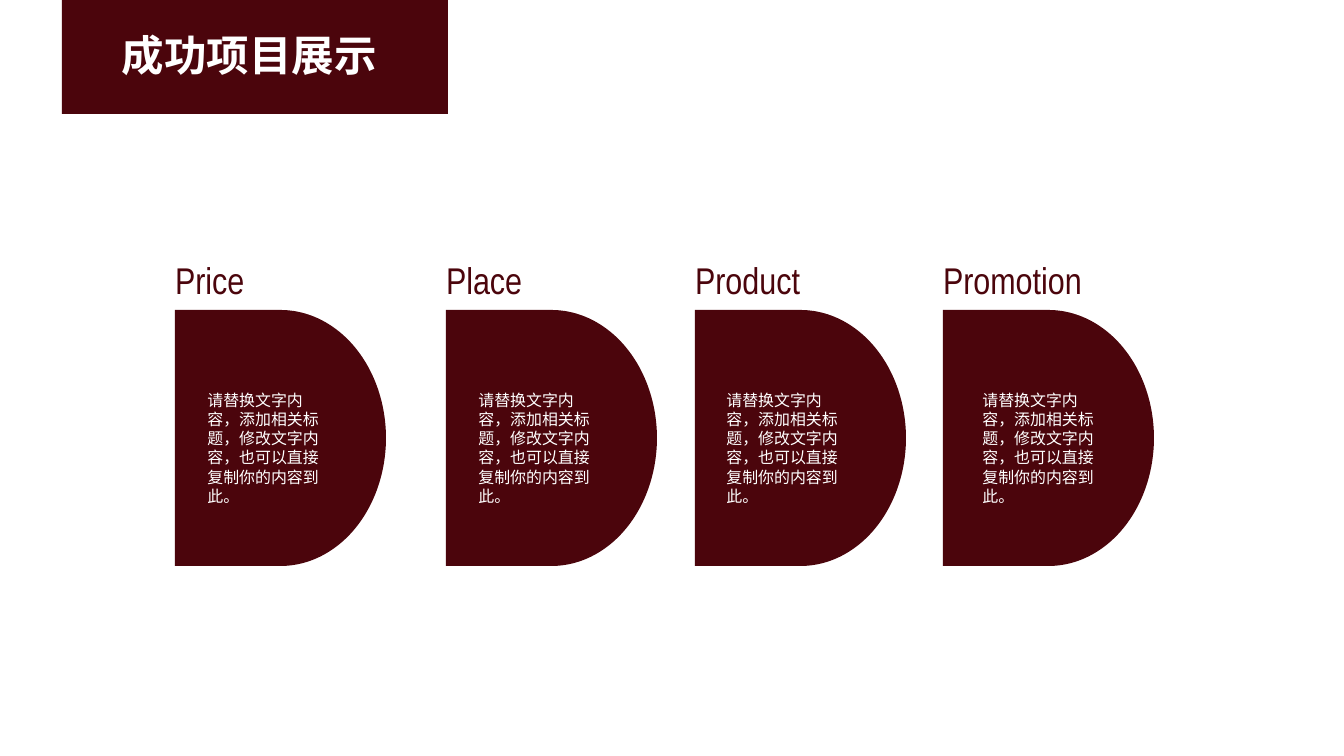
from pptx import Presentation
from pptx.dml.color import RGBColor
from pptx.enum.shapes import MSO_SHAPE
from pptx.enum.text import MSO_ANCHOR, MSO_AUTO_SIZE, PP_ALIGN
from pptx.oxml.ns import qn
from pptx.util import Pt
from lxml import etree

PX = 9565  # EMU per px
WINE = RGBColor(0x4B, 0x05, 0x0C)
WHITE = RGBColor(0xFF, 0xFF, 0xFF)
LATIN, HAN = "Arial Narrow", "Noto Sans CJK SC"
RECT, DELAY = MSO_SHAPE.RECTANGLE, MSO_SHAPE.FLOWCHART_DELAY
GROW, TOP, LEFT = MSO_AUTO_SIZE.SHAPE_TO_FIT_TEXT, MSO_ANCHOR.TOP, PP_ALIGN.LEFT

BODY = "请替换文字内容，添加相关标题，修改文字内容，也可以直接复制你的内容到此。"
# Name, left of the card, left of its body text
CARDS = [
    ("Price", 175, 198),
    ("Place", 446, 469),
    ("Product", 695, 717),
    ("Promotion", 943, 973),
]

deck = Presentation()
deck.slide_width, deck.slide_height = 1344 * PX, 756 * PX
slide = deck.slides.add_slide(deck.slide_layouts[5])
shapes = slide.shapes


def block(kind, *box):
    shape = shapes.add_shape(kind, *[n * PX for n in box])
    shape.shadow.inherit = False
    shape.fill.solid()
    shape.fill.fore_color.rgb = WINE
    shape.line.fill.background()


def write(shape, text, size, face, color, bold=False):
    frame = shape.text_frame
    frame.text = text
    frame.word_wrap = True
    frame.auto_size = GROW
    frame.vertical_anchor = TOP
    para = frame.paragraphs[0]
    para.alignment = LEFT
    para._p.get_or_add_pPr().set("hangingPunct", "0")  # keep commas inside the box
    font = para.runs[0].font
    font.size, font.name, font.bold = Pt(size), face, bold
    font.color.rgb = color
    etree.SubElement(font._element, qn("a:ea")).set("typeface", face)


# Title on its banner
block(RECT, 62, 0, 386, 114)
title = shapes.title
title.left, title.top, title.width, title.height = [n * PX for n in (112, 24, 290, 60)]
write(title, "成功项目展示", 32, HAN, WHITE, bold=True)
shapes._spTree.append(title._element)  # bring in front of the banner

# Four cards: heading, shape, body text
for name, left, inner in CARDS:
    label = shapes.add_textbox(left * PX, 257 * PX, 233 * PX, 45 * PX)
    write(label, name, 28, LATIN, WINE)
    frame = label.text_frame
    frame.margin_left = frame.margin_right = frame.margin_top = frame.margin_bottom = 0
    block(DELAY, left, 310, 211, 256)
    note = shapes.add_textbox(inner * PX, 386 * PX, 136 * PX, 106 * PX)
    write(note, BODY, 12, HAN, WHITE)

deck.save("out.pptx")
